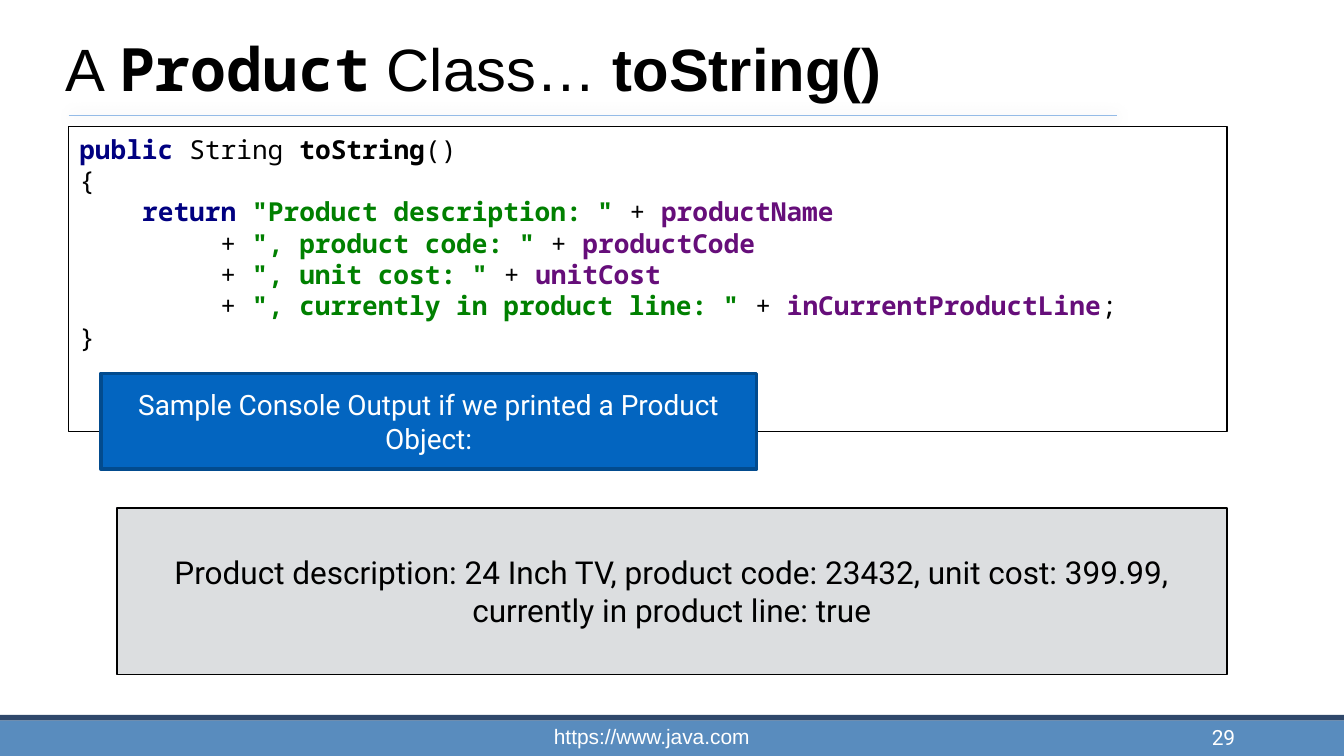
from copy import deepcopy

from lxml import etree
from pptx import Presentation
from pptx.dml.color import RGBColor
from pptx.enum.shapes import MSO_CONNECTOR, MSO_SHAPE
from pptx.enum.text import MSO_ANCHOR, PP_ALIGN
from pptx.oxml.ns import qn
from pptx.util import Inches, Pt

MONO = "Noto Sans Mono"
PLAIN = {"color": "000000"}
BOLD = {"color": "000000", "bold": True}
KEYWORD = {"color": "000080", "bold": True}
STRING = {"color": "008000", "bold": True}
FIELD = {"color": "660E7A", "bold": True}


def add_box(position, fill=None, line=None, line_width=0.75):
    """Add a rectangle, or a text box when no fill is given."""
    left, top, width, height = [Inches(value) for value in position]
    if fill is None:
        return slide.shapes.add_textbox(left, top, width, height)
    shape = slide.shapes.add_shape(MSO_SHAPE.RECTANGLE, left, top, width, height)
    shape.shadow.inherit = False
    shape.fill.solid()
    shape.fill.fore_color.rgb = RGBColor.from_string(fill)
    if line:
        shape.line.color.rgb = RGBColor.from_string(line)
        shape.line.width = Pt(line_width)
    else:
        shape.line.fill.background()
    return shape


def write_text(shape, lines, size, font="Roboto", color="000000", align=PP_ALIGN.LEFT,
               anchor=MSO_ANCHOR.MIDDLE, insets=(0.1, 0.05)):
    """Write one paragraph with line breaks; a line is a list of (text, style) runs."""
    frame = shape.text_frame
    frame.word_wrap = True
    frame.vertical_anchor = anchor
    frame.margin_left = frame.margin_right = Inches(insets[0])
    frame.margin_top = frame.margin_bottom = Inches(insets[1])
    paragraph = frame.paragraphs[0]
    paragraph.alignment = align
    for index, line in enumerate(lines):
        if index:
            # The break takes the format of the run before it, to keep the line height
            paragraph.add_line_break()
            paragraph._p[-1].append(deepcopy(run._r.rPr))
        for text, style in line:
            run = paragraph.add_run()
            run.text = text
            run.font.size = Pt(size)
            run.font.name = style.get("font", font)
            run.font.bold = style.get("bold", False)
            run.font.color.rgb = RGBColor.from_string(style.get("color", color))


presentation = Presentation()
presentation.slide_width = Inches(10)
presentation.slide_height = Inches(10 * 9 / 16)
slide = presentation.slides.add_slide(presentation.slide_layouts[6])

# Footer band and title rule
add_box((0, 5.36, 10, 0.27), fill="598CBE")
add_box((0, 5.32, 10, 0.04), fill="2F486B")
title_rule = slide.shapes.add_connector(
    MSO_CONNECTOR.STRAIGHT, Inches(0.51), Inches(0.86), Inches(8.31), Inches(0.86))
title_rule.line.color.rgb = RGBColor.from_string("94BBE7")
title_rule.line.width = Pt(1)
effects = etree.SubElement(title_rule._element.spPr, qn("a:effectLst"))
shadow = etree.SubElement(effects, qn("a:outerShdw"), blurRad=str(Pt(8)),
                          dist=str(Pt(1)), dir=str(45 * 60000))
shadow_color = etree.SubElement(shadow, qn("a:srgbClr"), val="003D62")
etree.SubElement(shadow_color, qn("a:alpha"), val="20000")

# Code listing
code_lines = [
    [("public ", KEYWORD), ("String ", PLAIN), ("toString", BOLD), ("()", PLAIN)],
    [("{", PLAIN)],
    [("    ", PLAIN), ("return ", KEYWORD), ('"Product description: " ', STRING),
     ("+ ", PLAIN), ("productName", FIELD)],
]
for label, field in [("product code", "productCode"), ("unit cost", "unitCost"),
                     ("currently in product line", "inCurrentProductLine")]:
    code_lines.append([("         + ", PLAIN), (f'", {label}: " ', STRING),
                       ("+ ", PLAIN), (field, FIELD)])
code_lines[-1].append((";", PLAIN))
code_lines.append([("}", PLAIN)])
code_box = add_box((0.51, 0.94, 8.62, 2.27), fill="FFFFFF", line="000000")
write_text(code_box, code_lines, size=14, font=MONO, anchor=MSO_ANCHOR.TOP,
           insets=(0.08, 0.05))

# Sample output
output_box = add_box((0.87, 3.78, 8.26, 1.24), fill="DCDEE0", line="000000")
write_text(output_box, [[("Product description: 24 Inch TV, product code: 23432, "
                          "unit cost: 399.99, currently in product line: true", {})]],
           size=16.9, align=PP_ALIGN.CENTER)
output_label = add_box((0.75, 2.78, 4.88, 0.71), fill="0365C0", line="024B8E", line_width=2)
write_text(output_label, [[("Sample Console Output if we printed a Product Object:", {})]],
           size=15, color="FFFFFF", align=PP_ALIGN.CENTER)

# Footer text
footer = add_box((3.52, 5.35, 2.66, 0.26))
write_text(footer, [[("https://www.java.com", {})]], size=11.2, font="Arial", color="FFFFFF",
           align=PP_ALIGN.CENTER, anchor=MSO_ANCHOR.BOTTOM, insets=(0.08, 0.04))
page_number = add_box((7.17, 5.33, 2.08, 0.31))
write_text(page_number, [[("29", {})]], size=11.2, color="FFFFFF", align=PP_ALIGN.RIGHT,
           anchor=MSO_ANCHOR.BOTTOM, insets=(0.06, 0.06))

# Title
title = add_box((0.43, 0, 8.5, 0.83))
write_text(title, [[("A ", {}), ("Product", {"font": MONO, "bold": True}),
                    (" Class… ", {}), ("toString()", {"bold": True})]],
           size=32, font="Arial", anchor=MSO_ANCHOR.BOTTOM, insets=(0.06, 0.06))

presentation.save("out.pptx")
